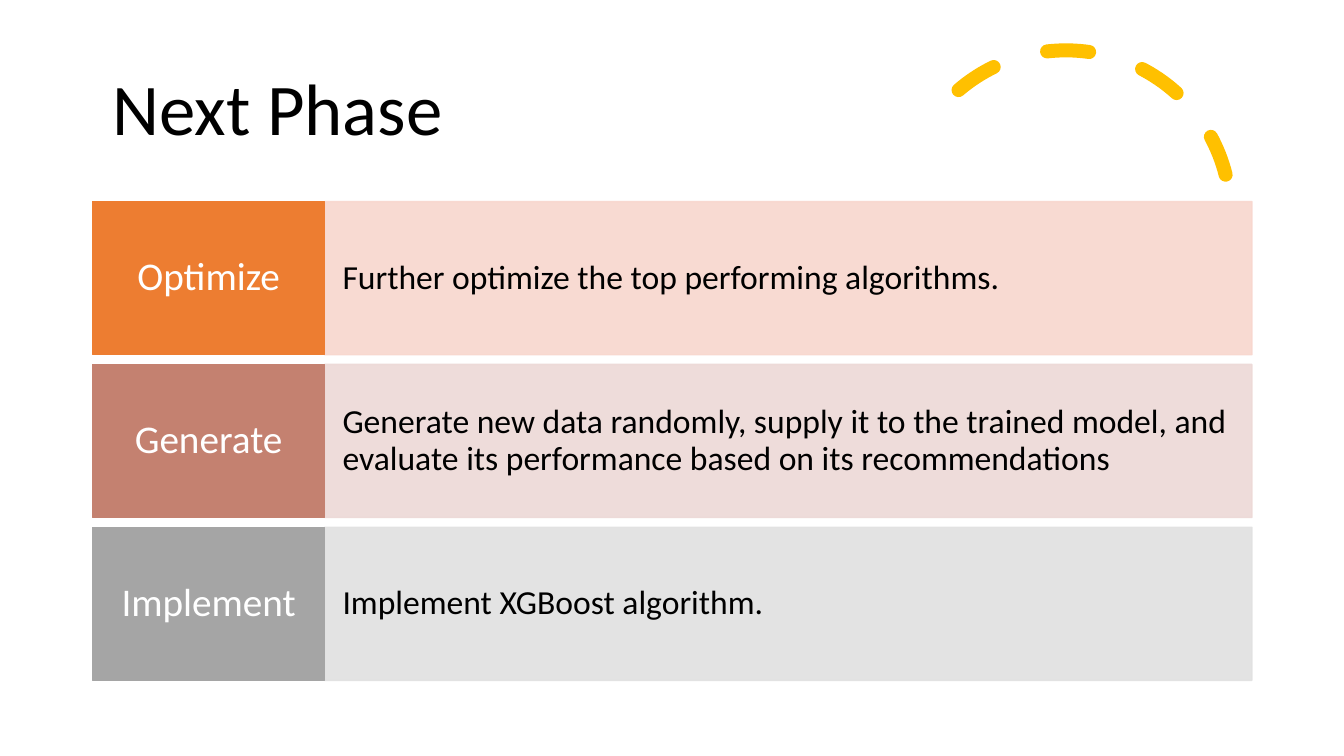
from pptx import Presentation
from pptx import util as u
from pptx.dml.color import RGBColor
from pptx.enum import dml, shapes, text
from pptx.oxml.ns import qn
from lxml import etree

title = "Next Phase"
phases = [
    ("Optimize", "Further optimize the top performing algorithms.", "ED7D31", "F8D7CE"),
    ("Generate", "Generate new data randomly, supply it to the trained model, and "
     "evaluate its performance based on its recommendations", "C48170", "EDD9D7"),
    ("Implement", "Implement XGBoost algorithm.", "A5A5A5", "E1E1E1"),
]
theme = dict(font="Calibri", ink="000000", light="FFFFFF", accent="FFC000",
             title_size=52, verb_size=28, detail_size=24)

left, top = 66.2, 144
verb_width, detail_width = 165.7, 662.4
row_height, row_pitch = 109.4, 116.3


def write(box, words, size, colour, align, inset_x, inset_y):
    frame = box.text_frame
    frame.word_wrap = True
    frame.vertical_anchor = text.MSO_ANCHOR.MIDDLE
    frame.margin_left = frame.margin_right = u.Pt(inset_x)
    frame.margin_top = frame.margin_bottom = u.Pt(inset_y)
    paragraph = frame.paragraphs[0]
    paragraph.text = words
    paragraph.alignment = align
    paragraph.line_spacing = 0.9
    paragraph.font.name = theme["font"]
    paragraph.font.size = u.Pt(size)
    paragraph.font.color.rgb = RGBColor.from_string(colour)


def add_block(x, y, width, colour, opacity=100):
    block = slide.shapes.add_shape(shapes.MSO_SHAPE.RECTANGLE,
                                   u.Pt(x), u.Pt(y), u.Pt(width), u.Pt(row_height))
    block.shadow.inherit = False
    block.fill.solid()
    block.line.width = u.Pt(1)
    for paint in (block.fill.fore_color, block.line.color):
        paint.rgb = RGBColor.from_string(colour)
    if opacity < 100:
        for tint in block.element.spPr.iter(qn("a:srgbClr")):
            etree.SubElement(tint, qn("a:alpha")).set("val", str(opacity * 1000))
    return block


deck = Presentation()
deck.slide_width, deck.slide_height = u.Pt(960), u.Pt(540)
slide = deck.slides.add_slide(deck.slide_layouts[6])

arc = slide.shapes.add_shape(shapes.MSO_SHAPE.ARC,
                             u.Pt(643.7), u.Pt(36), u.Pt(235.4), u.Pt(235.4))
arc.adjustments[0], arc.adjustments[1] = 146.13, 0
arc.rotation = 345.8
arc.shadow.inherit = False
arc.fill.background()
arc.line.color.rgb = RGBColor.from_string(theme["accent"])
arc.line.width = u.Pt(10)
arc.line.dash_style = dml.MSO_LINE.DASH
arc.element.spPr.find(qn("a:ln")).set("cap", "rnd")

heading = slide.shapes.add_textbox(u.Pt(55.4), u.Pt(27.4), u.Pt(285.8), u.Pt(104.4))
write(heading, title, theme["title_size"], theme["ink"], text.PP_ALIGN.CENTER, 7.2, 3.6)

for row, (verb, detail, strong, pale) in enumerate(phases):
    y = top + row * row_pitch
    detail_block = add_block(left + verb_width, y, detail_width, pale, opacity=90)
    write(detail_block, detail, theme["detail_size"], theme["ink"],
          text.PP_ALIGN.LEFT, 12.8, 28)
    verb_block = add_block(left, y, verb_width, strong)
    write(verb_block, verb, theme["verb_size"], theme["light"],
          text.PP_ALIGN.CENTER, 8.7, 10.8)

deck.save("out.pptx")
